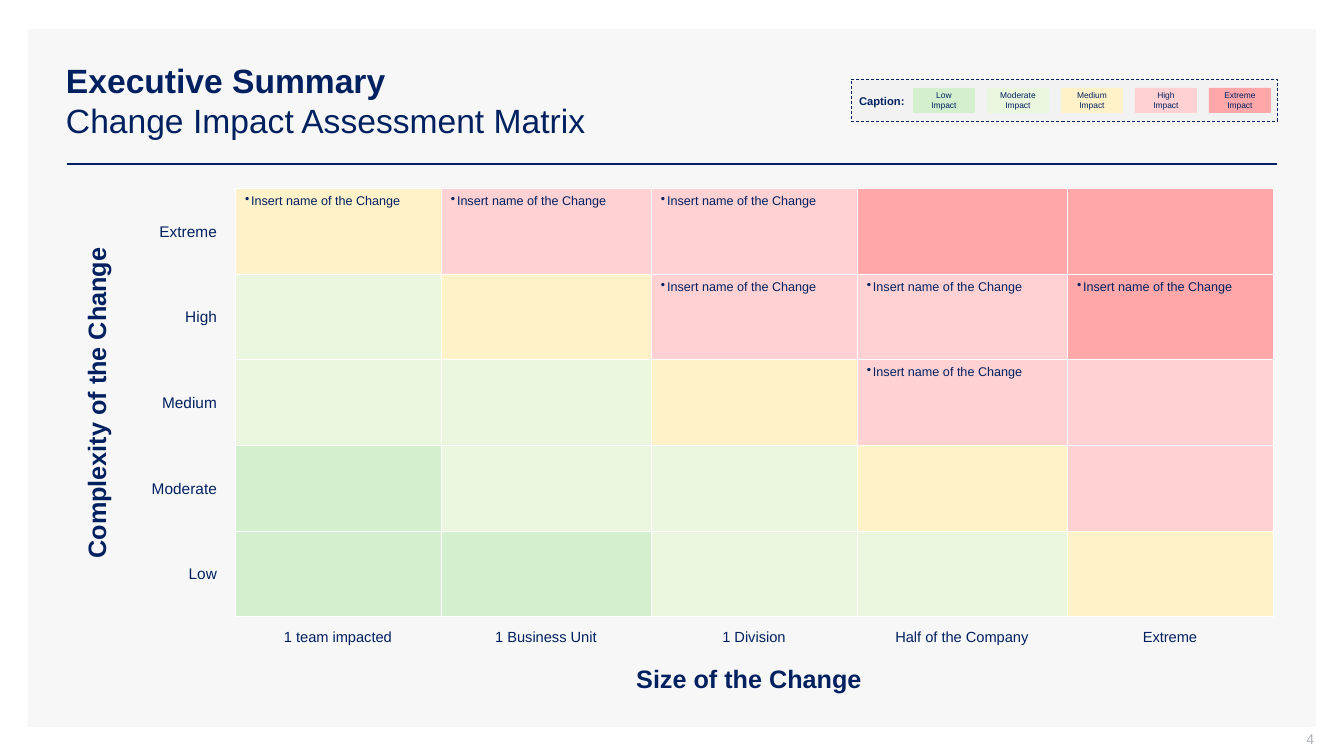
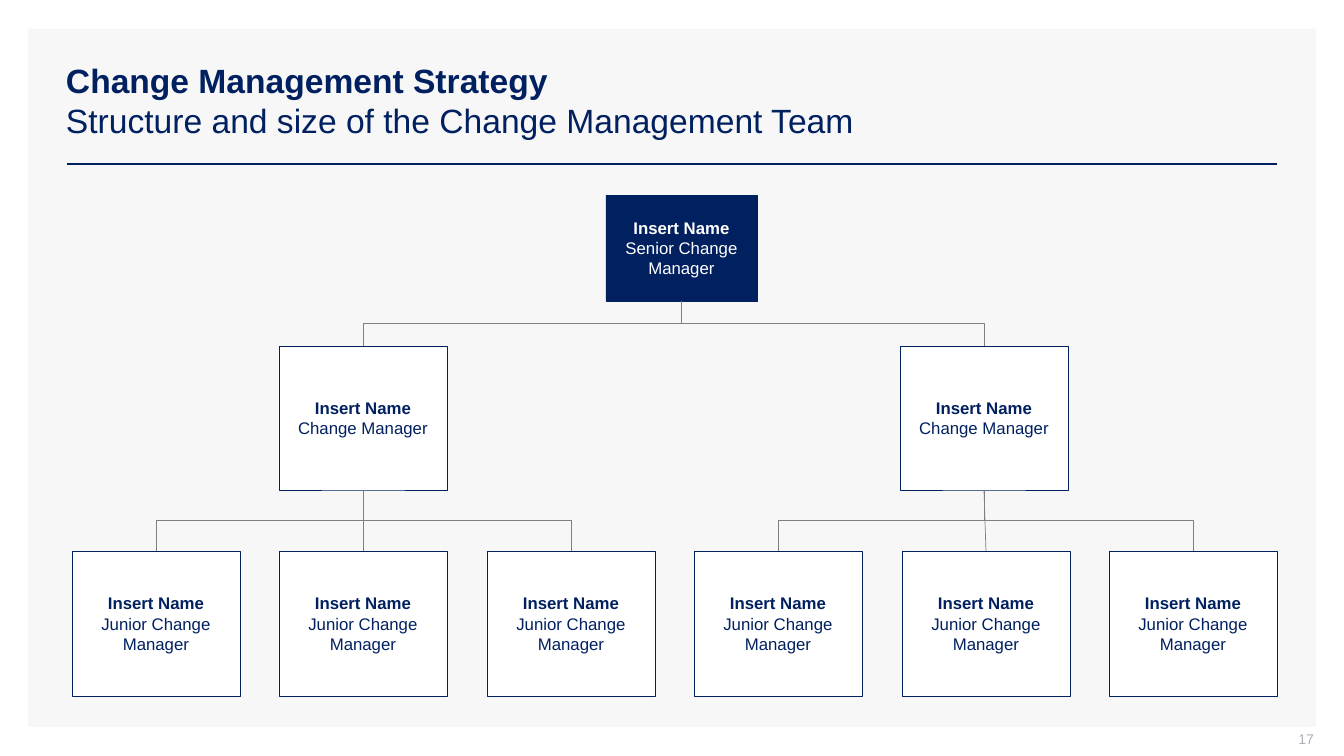
"""Build a change impact matrix slide and a change management team chart slide."""
from itertools import accumulate

from lxml import etree
from pptx import Presentation
from pptx.dml.color import RGBColor
from pptx.enum.dml import MSO_LINE
from pptx.enum.shapes import MSO_CONNECTOR, MSO_SHAPE
from pptx.enum.text import MSO_ANCHOR, PP_ALIGN
from pptx.oxml.ns import qn
from pptx.util import Pt

PX = 914400 / 100.8
FONT = "Arial"
NAVY = RGBColor(0x00, 0x20, 0x60)
WHITE = RGBColor(0xFF, 0xFF, 0xFF)
PANEL = RGBColor(0xF7, 0xF7, 0xF7)
CAPTION_GREY = RGBColor(0xF2, 0xF2, 0xF2)
NUMBER_GREY = RGBColor(0xAD, 0xAF, 0xBB)
LINK_GREY = RGBColor(0x7F, 0x7F, 0x7F)
RECT, ROUND = MSO_SHAPE.RECTANGLE, MSO_SHAPE.ROUNDED_RECTANGLE
STRAIGHT, ELBOW = MSO_CONNECTOR.STRAIGHT, MSO_CONNECTOR.ELBOW
LEFT, CENTER, RIGHT = PP_ALIGN.LEFT, PP_ALIGN.CENTER, PP_ALIGN.RIGHT
TOP, MIDDLE = MSO_ANCHOR.TOP, MSO_ANCHOR.MIDDLE
DASH = MSO_LINE.DASH

IMPACTS = {
    "Low": RGBColor(0xD3, 0xEF, 0xCE),
    "Moderate": RGBColor(0xEB, 0xF6, 0xDE),
    "Medium": RGBColor(0xFF, 0xF2, 0xC9),
    "High": RGBColor(0xFF, 0xD1, 0xD2),
    "Extreme": RGBColor(0xFF, 0xA7, 0xA9),
}
COMPLEXITIES = ["Extreme", "High", "Medium", "Moderate", "Low"]
SIZES = ["1 team impacted", "1 Business Unit", "1 Division", "Half of the Company", "Extreme"]
MATRIX = [
    ["Medium", "High", "High", "Extreme", "Extreme"],
    ["Moderate", "Medium", "High", "High", "Extreme"],
    ["Moderate", "Moderate", "Medium", "High", "High"],
    ["Low", "Moderate", "Moderate", "Medium", "High"],
    ["Low", "Low", "Moderate", "Moderate", "Medium"],
]
CHANGES = {(0, 0), (0, 1), (0, 2), (1, 2), (1, 3), (1, 4), (2, 3)}
CHANGE = "Insert name of the Change"
COL_EDGES = list(accumulate([235, 206, 210, 206, 210, 206]))
ROW_EDGES = [188 + round(85.7 * r) for r in range(6)]

NAME = "Insert Name"
SENIOR, MANAGER, JUNIOR = "Senior Change Manager", "Change Manager", "Junior Change Manager"
MANAGER_LEFTS = [279, 900]
JUNIORS_EACH = 3


def emu(*lengths):
    return [round(n * PX) for n in lengths]


def write(shape, paragraphs, size, color=NAVY, bold=False, align=LEFT, anchor=MIDDLE,
          insets=(10, 5, 10, 5), bullet=False):
    """Fill a shape with paragraphs, each a string or a (string, bold) pair."""
    tf = shape.text_frame
    left, top, right, bottom = emu(*insets)
    frame = dict(word_wrap=True, vertical_anchor=anchor, margin_left=left,
                 margin_top=top, margin_right=right, margin_bottom=bottom)
    for key, value in frame.items():
        setattr(tf, key, value)
    for i, item in enumerate(paragraphs):
        text, strong = item if isinstance(item, tuple) else (item, bold)
        p = tf.add_paragraph() if i else tf.paragraphs[0]
        p.alignment = align
        if bullet:
            pPr = p._p.get_or_add_pPr()
            pPr.set("marL", "54864")
            pPr.set("indent", "-54864")
            etree.SubElement(pPr, qn("a:buChar")).set("char", "•")
        r = p.add_run()
        r.text = text
        for key, value in dict(name=FONT, size=Pt(size), bold=strong).items():
            setattr(r.font, key, value)
        r.font.color.rgb = color


def add_text(s, box, paragraphs, size, **fmt):
    shape = s.shapes.add_textbox(*emu(*box))
    write(shape, paragraphs, size, **fmt)
    return shape


def add_box(s, box, fill, line=None, width=0.5, kind=RECT):
    shape = s.shapes.add_shape(kind, *emu(*box))
    shape.shadow.inherit = False
    shape.fill.solid()
    shape.fill.fore_color.rgb = fill
    if line is None:
        shape.line.fill.background()
    else:
        shape.line.color.rgb = line
        shape.line.width = Pt(width)
    return shape


def add_line(s, kind, ends, color, width):
    line = s.shapes.add_connector(kind, *emu(*ends))
    line.line.color.rgb = color
    line.line.width = Pt(width)
    etree.SubElement(line._element.spPr, qn("a:effectLst"))
    return line


def link(s, parent, child):
    """Join the bottom of a parent box to the top of a child box."""
    x1, y1 = parent.left + parent.width // 2, parent.top + parent.height
    x2, y2 = child.left + child.width // 2, child.top
    dx, dy = x2 - x1, y2 - y1
    straight = abs(dx) < 3 * PX
    line = add_line(s, STRAIGHT if straight else ELBOW, (0, 0, 1, 1), LINK_GREY, 0.5)
    line.begin_connect(parent, 2)
    line.end_connect(child, 0)
    if straight:
        return
    xfrm = line._element.spPr.find(qn("a:xfrm"))
    for key in ("flipH", "flipV"):
        xfrm.attrib.pop(key, None)
    xfrm.set("rot", str((90 if dx < 0 else 270) * 60000))
    if dx > 0:
        xfrm.set("flipH", "1")
    place = dict(left=(x1 + x2 - dy) // 2, top=(y1 + y2 - abs(dx)) // 2,
                 width=dy, height=abs(dx))
    for key, value in place.items():
        setattr(line, key, value)


def new_slide(prs, title, subtitle, number):
    s = prs.slides.add_slide(prs.slide_layouts[6])
    add_box(s, (28, 29, 1288, 698), PANEL)
    add_line(s, STRAIGHT, (67, 164, 1277, 164), NAVY, 2)
    add_text(s, (56, 40, 1221, 120), [(title, True), subtitle], 24)
    add_text(s, (1012, 731, 302, 21), [str(number)], 10, color=NUMBER_GREY,
             align=RIGHT, insets=(10, 0, 0, 5))
    return s


def matrix_slide(prs):
    s = new_slide(prs, "Executive Summary", "Change Impact Assessment Matrix", 4)
    caption = add_box(s, (851, 79, 426, 42), CAPTION_GREY, NAVY)
    caption.line.dash_style = DASH
    write(caption, ["Caption:"], 8, bold=True, insets=(8, 10, 8, 8))
    for i, (impact, color) in enumerate(IMPACTS.items()):
        chip = add_box(s, (913 + 74 * i, 88, 62, 25), color, kind=ROUND)
        chip.adjustments[0] = 0.04
        write(chip, [f"{impact} Impact"], 6, align=CENTER, insets=(12, 5, 12, 5))

    axis = dict(bold=True, align=CENTER, insets=(0, 10, 0, 10))
    add_text(s, (-81, 378, 354, 50), ["Complexity of the Change"], 18, **axis).rotation = 270
    add_text(s, (612, 653, 274, 50), ["Size of the Change"], 18, **axis)

    for x, right, label in zip(COL_EDGES, COL_EDGES[1:], SIZES):
        add_text(s, (x, 622, right - x, 29), [label], 10.5, align=CENTER)
    for r, (y, bottom) in enumerate(zip(ROW_EDGES, ROW_EDGES[1:])):
        add_text(s, (127, y, 100, bottom - y), [COMPLEXITIES[r]], 11, align=RIGHT)
        for c, (x, right) in enumerate(zip(COL_EDGES, COL_EDGES[1:])):
            cell = add_box(s, (x, y, right - x, bottom - y), IMPACTS[MATRIX[r][c]], WHITE, 0.25)
            if (r, c) in CHANGES:
                write(cell, [CHANGE], 9, anchor=TOP, bullet=True)


def add_member(s, box, role, fill=WHITE, color=NAVY):
    shape = add_box(s, box, fill, NAVY)
    write(shape, [(NAME, True), role], 12, color=color, align=CENTER, insets=(2, 2, 2, 2))
    return shape


def team_slide(prs):
    s = new_slide(prs, "Change Management Strategy",
                  "Structure and size of the Change Management Team", 17)
    senior = add_member(s, (606, 195, 151, 106), SENIOR, NAVY, WHITE)
    for m, left in enumerate(MANAGER_LEFTS):
        manager = add_member(s, (left, 346, 168, 144), MANAGER)
        link(s, senior, manager)
        for j in range(JUNIORS_EACH):
            x = 72 + round(207.4 * (m * JUNIORS_EACH + j))
            link(s, manager, add_member(s, (x, 551, 168, 145), JUNIOR))


def main():
    prs = Presentation()
    prs.slide_width, prs.slide_height = emu(1344, 756)
    matrix_slide(prs)
    team_slide(prs)
    prs.save("out.pptx")


if __name__ == "__main__":
    main()
